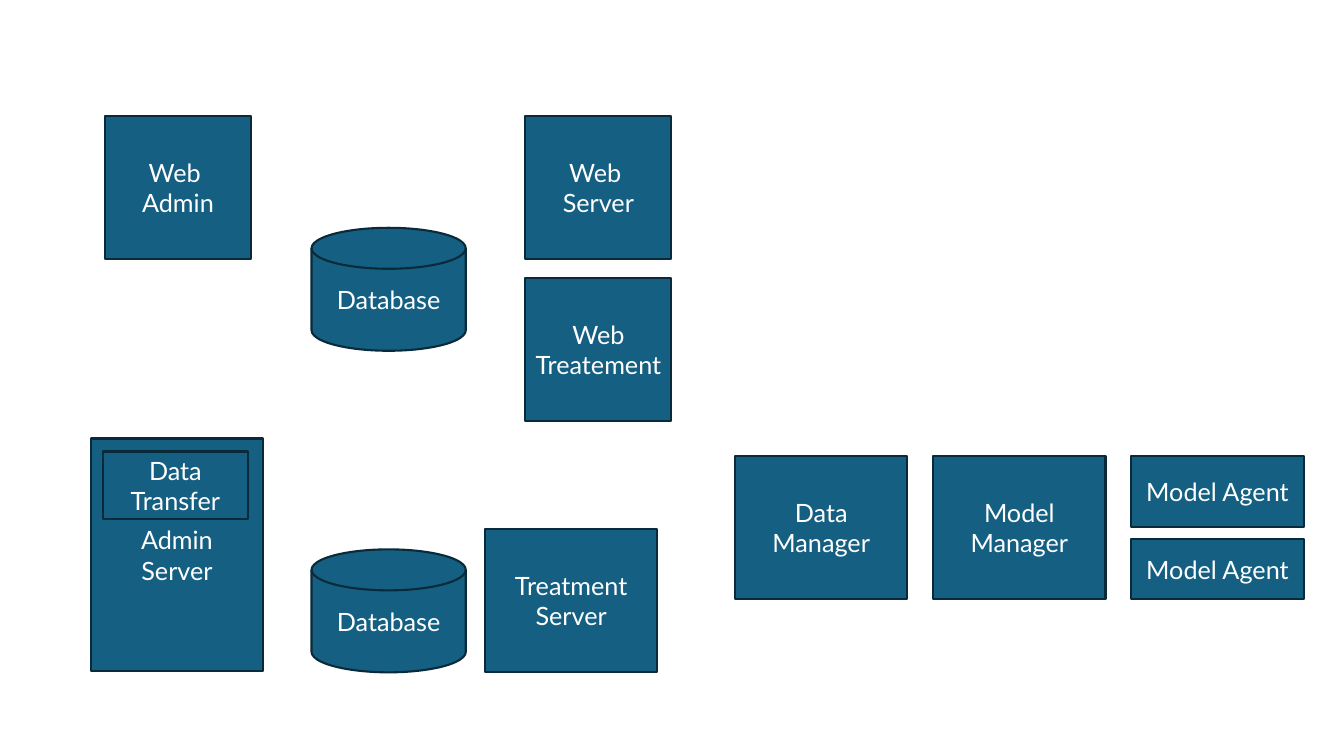
from dataclasses import dataclass

from pptx import Presentation
from pptx.dml.color import RGBColor
from pptx.enum.shapes import MSO_SHAPE
from pptx.enum.text import MSO_ANCHOR, PP_ALIGN
from pptx.slide import Slide
from pptx.util import Inches, Pt


@dataclass(frozen=True)
class Theme:
    fill: RGBColor = RGBColor(0x15, 0x60, 0x82)
    outline: RGBColor = RGBColor(0x09, 0x2A, 0x39)
    text: RGBColor = RGBColor(0xFF, 0xFF, 0xFF)
    font: str = "Lato"
    text_size: int = 18
    outline_width: float = 1.5


@dataclass(frozen=True)
class Component:
    """One block; each text entry is a paragraph, a newline is a line break."""
    text: tuple[str, ...]
    left: float
    top: float
    width: float
    height: float
    kind: MSO_SHAPE = MSO_SHAPE.RECTANGLE


THEME = Theme()

# Shared sizes and positions, in inches
WEB_WIDTH, SERVER_WIDTH, BOX_HEIGHT = 1.45, 1.71, 1.42
WEB_TOP, WEB_LEFT = 1.15, 5.21
DATABASE_LEFT, DATABASE_TOPS = 3.09, (5.45, 2.26)
MODEL_TOP = 4.52
DATA_LEFT, MODEL_LEFT, AGENT_LEFT = (7.29 + 1.965 * column for column in range(3))

COMPONENTS = [
    # Databases
    *(Component(("Database",), DATABASE_LEFT, top, 1.53, 1.22,
                MSO_SHAPE.FLOWCHART_MAGNETIC_DISK) for top in DATABASE_TOPS),
    # Treatment and web services
    Component(("Treatment Server",), 4.81, 5.25, SERVER_WIDTH, BOX_HEIGHT),
    Component(("Web \nServer",), WEB_LEFT, WEB_TOP, WEB_WIDTH, BOX_HEIGHT),
    Component(("Web Treatement",), WEB_LEFT, 2.76, WEB_WIDTH, BOX_HEIGHT),
    # Managers and agents
    Component(("Data", "Manager"), DATA_LEFT, MODEL_TOP, SERVER_WIDTH, BOX_HEIGHT),
    Component(("Model", "Manager"), MODEL_LEFT, MODEL_TOP, SERVER_WIDTH, BOX_HEIGHT),
    Component(("Model Agent",), AGENT_LEFT, MODEL_TOP, SERVER_WIDTH, 0.71),
    Component(("Model Agent",), AGENT_LEFT, 5.35, SERVER_WIDTH, 0.59),
    # Administration
    Component(("Admin\nServer",), 0.9, 4.35, SERVER_WIDTH, 2.31),
    Component(("Data Transfer",), 1.02, 4.48, 1.44, 0.67),
    Component(("Web \nAdmin",), 1.04, WEB_TOP, WEB_WIDTH, BOX_HEIGHT),
]


def draw_component(slide: Slide, component: Component) -> None:
    shape = slide.shapes.add_shape(
        component.kind, Inches(component.left), Inches(component.top),
        Inches(component.width), Inches(component.height))
    shape.shadow.inherit = False
    shape.fill.solid()
    shape.fill.fore_color.rgb = THEME.fill
    shape.line.color.rgb = THEME.outline
    shape.line.width = Pt(THEME.outline_width)

    # Centred label
    frame = shape.text_frame
    frame.word_wrap = True
    frame.vertical_anchor = MSO_ANCHOR.MIDDLE
    for index, text in enumerate(component.text):
        paragraph = frame.add_paragraph() if index else frame.paragraphs[0]
        paragraph.alignment = PP_ALIGN.CENTER
        for line_number, line in enumerate(text.split("\n")):
            if line_number:
                paragraph.add_line_break()
            run = paragraph.add_run()
            run.text = line
            run.font.name = THEME.font
            run.font.size = Pt(THEME.text_size)
            run.font.color.rgb = THEME.text


def main() -> None:
    presentation = Presentation()
    presentation.slide_width = Inches(13.33)
    presentation.slide_height = Inches(7.5)
    blank_layout = presentation.slide_layouts[6]
    slide = presentation.slides.add_slide(blank_layout)
    for component in COMPONENTS:
        draw_component(slide, component)
    presentation.save("out.pptx")


if __name__ == "__main__":
    main()
